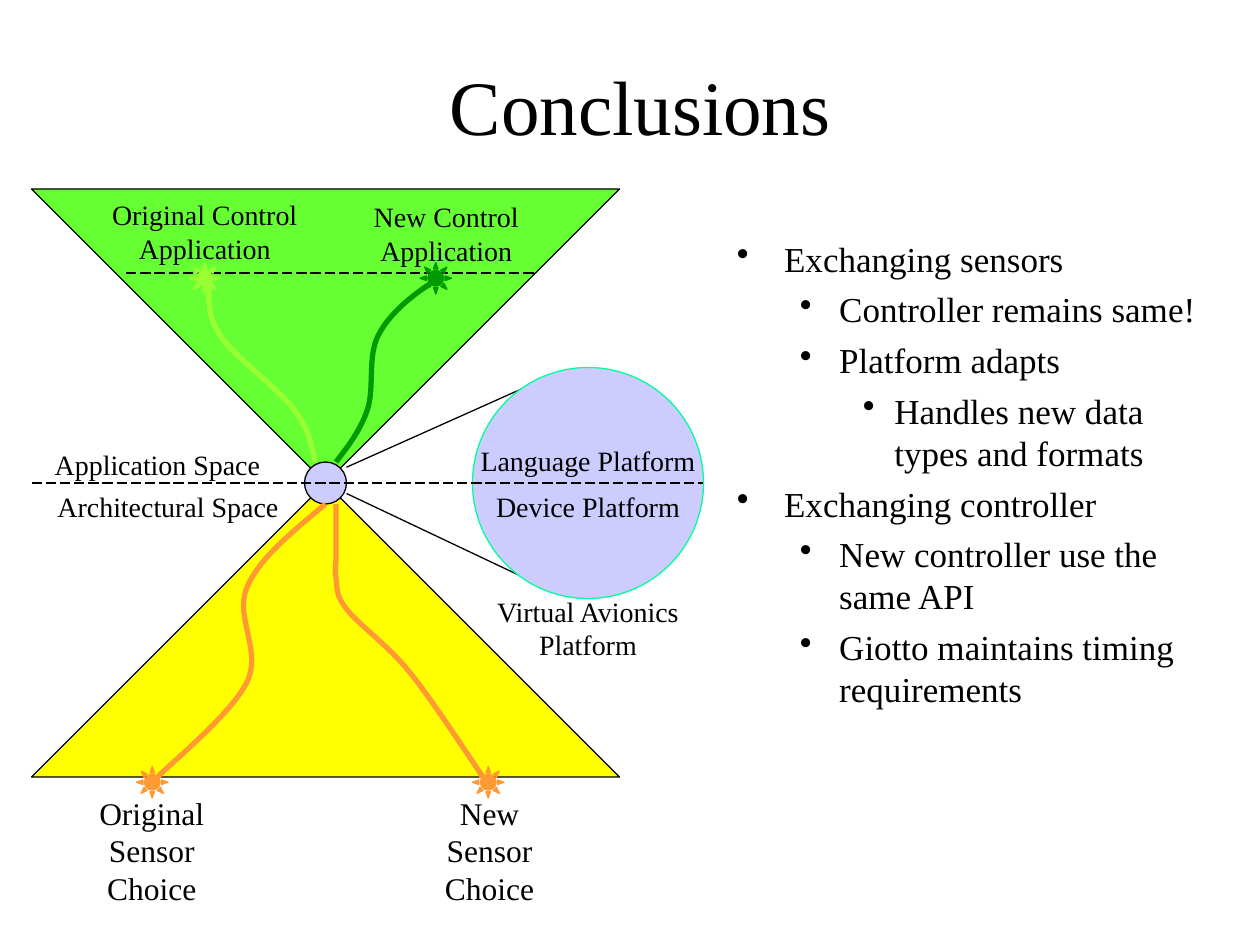
from lxml.etree import SubElement
from pptx import Presentation
from pptx.dml.color import RGBColor
from pptx.enum.dml import MSO_LINE
from pptx.enum.shapes import MSO_CONNECTOR, MSO_SHAPE
from pptx.enum.text import MSO_ANCHOR, MSO_AUTO_SIZE, PP_ALIGN
from pptx.oxml.ns import qn
from pptx.util import Pt

FONT = "Times New Roman"
BLACK, LAVENDER, ORANGE = "000000", "CCCCFF", "FF9933"
LEFT, MIDDLE = 18, 276  # left edge and waist of the hourglass
SUN_SIZE = 18
# (left margin, first-line indent) of each bullet level
BULLET_INDENTS = [(27, -27), (58.5, -22.5), (90, -18)]


def color(hex_string):
    return RGBColor.from_string(hex_string)


def set_font(paragraph, size):
    for run in paragraph.runs:
        run.font.name = FONT
        run.font.size = Pt(size)
        run.font.color.rgb = color(BLACK)


def add_text(slide, text, left, top, width, height, size, fit=True):
    """Add a centred text box; each line of text is one paragraph."""
    box = slide.shapes.add_textbox(Pt(left), Pt(top), Pt(width), Pt(height))
    frame = box.text_frame
    frame.text = text
    frame.word_wrap = True
    if fit:
        frame.auto_size = MSO_AUTO_SIZE.SHAPE_TO_FIT_TEXT
    for paragraph in frame.paragraphs:
        paragraph.alignment = PP_ALIGN.CENTER
        set_font(paragraph, size)
    return box


def add_bullets(slide, items, left, top, width, height, size):
    box = slide.shapes.add_textbox(Pt(left), Pt(top), Pt(width), Pt(height))
    frame = box.text_frame
    frame.text = "\n".join(text for level, text in items)
    frame.word_wrap = True
    for index, (paragraph, (level, text)) in enumerate(zip(frame.paragraphs, items)):
        paragraph.level = level
        if index:
            paragraph.space_before = Pt(5)
        margin, indent = BULLET_INDENTS[level]
        properties = paragraph._p.get_or_add_pPr()
        properties.set("marL", str(Pt(margin)))
        properties.set("indent", str(Pt(indent)))
        SubElement(properties, qn("a:buChar")).set("char", "•")
        set_font(paragraph, size)


def add_figure(shapes, kind, left, top, width, height, fill, line=BLACK):
    shape = shapes.add_shape(kind, Pt(left), Pt(top), Pt(width), Pt(height))
    shape.shadow.inherit = False
    shape.fill.solid()
    shape.fill.fore_color.rgb = color(fill)
    shape.line.color.rgb = color(line)
    shape.line.width = Pt(0.75)
    return shape


def add_line(slide, start, end, dashed=False):
    points = [Pt(value) for value in (*start, *end)]
    connector = slide.shapes.add_connector(MSO_CONNECTOR.STRAIGHT, *points)
    connector.line.color.rgb = color(BLACK)
    connector.line.width = Pt(0.75)
    if dashed:
        connector.line.dash_style = MSO_LINE.LONG_DASH
    SubElement(connector._element.spPr, qn("a:effectLst"))


def add_curve(shapes, points, line):
    """Draw a start point followed by triples of Bezier points."""
    builder = shapes.build_freeform(*points[0], scale=Pt(1))
    builder.add_line_segments(points[1:], close=False)
    shape = builder.convert_to_shape()
    # Merge each three straight segments into one Bezier segment
    outline = next(shape._element.iter(qn("a:pathLst")))[0]
    segments = outline.findall(qn("a:lnTo"))
    for first in range(0, len(segments), 3):
        bezier = SubElement(outline, qn("a:cubicBezTo"))
        for segment in segments[first:first + 3]:
            bezier.append(segment[0])
            outline.remove(segment)
    shape.shadow.inherit = False
    shape.fill.background()
    shape.line.color.rgb = color(line)
    shape.line.width = Pt(3)


def add_route(slide, sun_left, sun_top, points, hex_string):
    """Group a sun marker with the curve that links it to the platform."""
    group = slide.shapes.add_group_shape()
    add_figure(group.shapes, MSO_SHAPE.SUN, sun_left, sun_top,
               SUN_SIZE, SUN_SIZE, hex_string, hex_string)
    add_curve(group.shapes, points, hex_string)


def main():
    presentation = Presentation()
    presentation.slide_width, presentation.slide_height = Pt(720), Pt(540)
    slide = presentation.slides.add_slide(presentation.slide_layouts[6])

    # Title
    title = add_text(slide, "Conclusions", 60, 24, 612, 72, 44, fit=False)
    title.text_frame.vertical_anchor = MSO_ANCHOR.MIDDLE

    # Hourglass: application space above, architectural space below
    upper = add_figure(slide.shapes, MSO_SHAPE.ISOSCELES_TRIANGLE,
                       LEFT, MIDDLE - 168, 336, 168, "66FF33")
    upper._element.spPr.find(qn("a:xfrm")).set("flipV", "1")
    add_figure(slide.shapes, MSO_SHAPE.ISOSCELES_TRIANGLE,
               LEFT, MIDDLE, 336, 168, "FFFF00")
    add_line(slide, (72, 156), (306, 156), dashed=True)

    # Platform at the waist, magnified on the right
    add_line(slide, (198, 267), (312, 216))
    add_line(slide, (198, 282), (312, 336))
    for left, diameter, line in [(174, 24, BLACK), (270, 132, "00FF99")]:
        add_figure(slide.shapes, MSO_SHAPE.OVAL, left, MIDDLE - diameter / 2,
                   diameter, diameter, LAVENDER, line)

    # Labels
    labels = [
        ("Original Control Application", 54, 109.5, 126, 46, 16),
        ("New Control Application", 192, 110.5, 126, 46, 16),
        ("Application Space", 12, 252, 156, 27, 16),
        ("Architectural Space", 18, 276, 156, 27, 16),
        ("Language Platform", 258, 250, 156, 27, 16),
        ("Device Platform", 270, 276, 132, 27, 16),
        ("Virtual Avionics Platform", 264, 336, 144, 46, 16),
        ("Original Sensor Choice", 41, 450, 91.5, 72, 18),
        ("New\nSensor Choice", 234, 450, 91.5, 72, 18),
    ]
    for label in labels:
        add_text(slide, *label)
    add_line(slide, (LEFT, MIDDLE), (402, MIDDLE), dashed=True)

    # Routes from sensors and control applications to the platform
    add_route(slide, 78, 438, [
        (186, 288), (167, 303.5), (148, 319), (141, 336),
        (134, 353), (150, 372), (141, 390),
        (132, 408), (99, 435), (90, 444)], ORANGE)
    add_route(slide, 270, 438, [
        (192, 288), (192, 299.5), (192, 311), (192, 318),
        (192, 325), (191, 325), (192, 330),
        (193, 335), (191, 339), (198, 348),
        (205, 357), (221, 368), (234, 384),
        (247, 400), (269, 434), (276, 444)], ORANGE)
    add_route(slide, 240, 150, [
        (246, 162), (234, 170.5), (222, 180), (216, 192),
        (210, 204), (214, 222), (210, 234),
        (206, 246), (199, 255), (192, 264)], "009900")
    add_route(slide, 108, 150, [
        (120, 162), (119, 170.5), (118, 180), (126, 192),
        (134, 204), (159, 222), (168, 234),
        (177, 246), (178.5, 255), (180, 264)], "99FF33")

    # Conclusions list
    add_bullets(slide, [
        (0, "Exchanging sensors"),
        (1, "Controller remains same!"),
        (1, "Platform adapts"),
        (2, "Handles new data types and formats"),
        (0, "Exchanging controller"),
        (1, "New controller use the same API"),
        (1, "Giotto maintains timing requirements"),
    ], 414, 132, 288, 324, 20)

    presentation.save("out.pptx")


if __name__ == "__main__":
    main()
